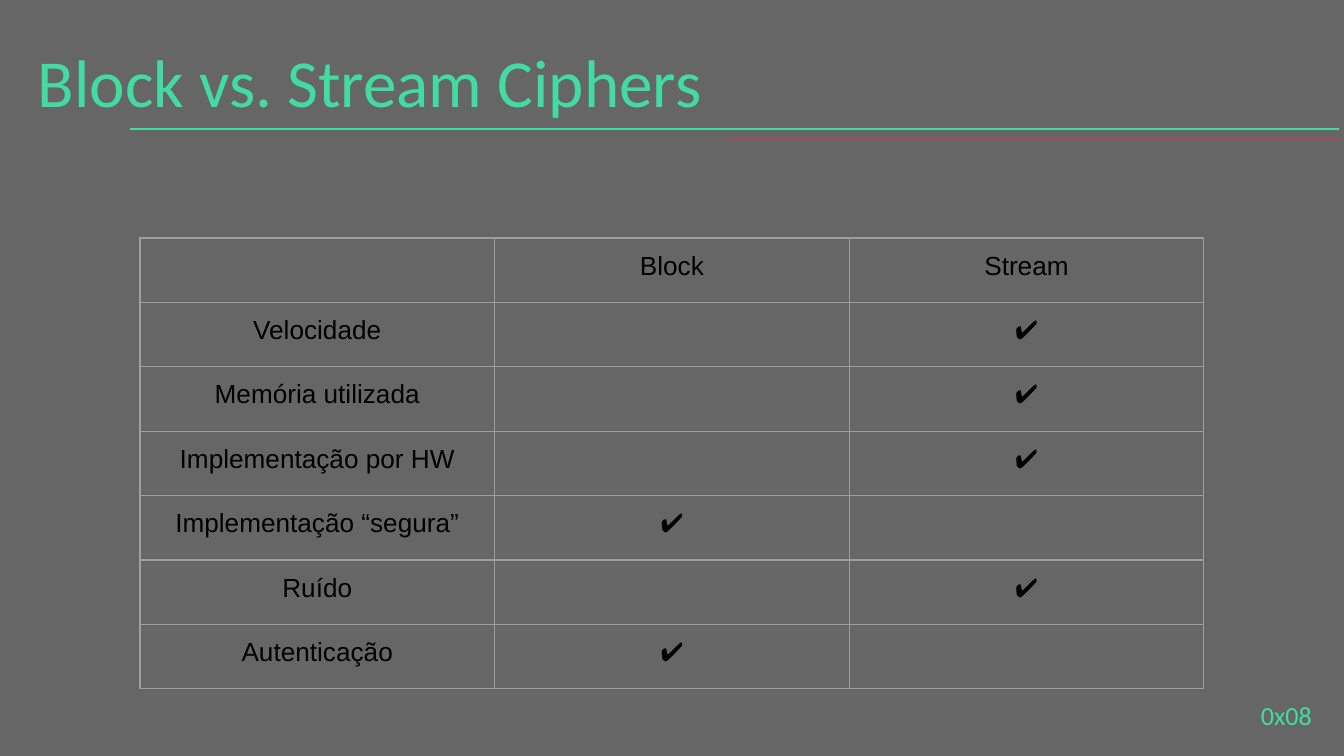
from dataclasses import dataclass

from lxml import etree
from pptx import Presentation
from pptx.dml.color import RGBColor
from pptx.enum.shapes import MSO_CONNECTOR
from pptx.enum.text import MSO_ANCHOR, MSO_AUTO_SIZE, PP_ALIGN
from pptx.oxml.ns import qn
from pptx.slide import Slide
from pptx.table import _Cell
from pptx.text.text import TextFrame
from pptx.util import Pt

LEFT, CENTER, RIGHT = PP_ALIGN.LEFT, PP_ALIGN.CENTER, PP_ALIGN.RIGHT
TOP, MIDDLE = MSO_ANCHOR.TOP, MSO_ANCHOR.MIDDLE
STRAIGHT = MSO_CONNECTOR.STRAIGHT
NO_FIT = MSO_AUTO_SIZE.NONE


@dataclass(frozen=True)
class Theme:
    back: str = "666666"
    green: str = "42DCA3"
    pink: str = "DF2C62"
    ink: str = "000000"
    grid: str = "9E9E9E"
    head: str = "Calibri"
    body: str = "Arial"
    title: float = 36
    text: float = 14
    line: float = 0.75
    inset: float = 7.2


@dataclass(frozen=True)
class Rule:
    left: float
    top: float
    color: str


@dataclass(frozen=True)
class Trait:
    name: str
    block: bool = False
    stream: bool = False


THEME = Theme()
RULE_END = 717.12
RULES = [Rule(69.84, 69.12, THEME.green), Rule(390.96, 74.88, THEME.pink)]
TRAITS = [
    Trait("Velocidade", stream=True),
    Trait("Memória utilizada", stream=True),
    Trait("Implementação por HW", stream=True),
    Trait("Implementação “segura”", block=True),
    Trait("Ruído", stream=True),
    Trait("Autenticação", block=True),
]
CHECK = "✔️"
COL, ROW = 190, 34.5


def write(frame: TextFrame, text: str, size: float, font: str, color: str,
          align: PP_ALIGN) -> None:
    frame.text = text
    para = frame.paragraphs[0]
    para.alignment = align
    for run in para.runs:
        run.font.size = Pt(size)
        run.font.name = font
        run.font.color.rgb = RGBColor.from_string(color)


def pad(item: TextFrame | _Cell) -> None:
    item.margin_left = item.margin_right = Pt(THEME.inset)
    item.margin_top = item.margin_bottom = Pt(THEME.inset)


def label(frame: TextFrame, text: str, size: float, align: PP_ALIGN,
          anchor: MSO_ANCHOR) -> None:
    """Write green heading text in a padded frame of fixed size."""
    write(frame, text, size, THEME.head, THEME.green, align)
    pad(frame)
    frame.word_wrap = True
    frame.auto_size = NO_FIT
    frame.vertical_anchor = anchor


def draw_rule(slide: Slide, rule: Rule) -> None:
    line = slide.shapes.add_connector(
        STRAIGHT, Pt(rule.left), Pt(rule.top), Pt(RULE_END), Pt(rule.top))
    line.line.color.rgb = RGBColor.from_string(rule.color)
    line.line.width = Pt(THEME.line)
    etree.SubElement(line._element.spPr, qn("a:effectLst"))


def frame_cell(cell: _Cell) -> None:
    """Clear the fill and draw a thin border on all four sides."""
    cell.fill.background()
    props = cell._tc.get_or_add_tcPr()
    for spot, side in enumerate(("lnL", "lnR", "lnT", "lnB")):
        edge = etree.Element(qn(f"a:{side}"), w=str(Pt(THEME.line)))
        fill = etree.SubElement(edge, qn("a:solidFill"))
        etree.SubElement(fill, qn("a:srgbClr"), val=THEME.grid)
        props.insert(spot, edge)


def draw_table(slide: Slide, traits: list[Trait]) -> None:
    rows = [("", "Block", "Stream")]
    rows += [(t.name, CHECK if t.block else "", CHECK if t.stream else "")
             for t in traits]
    count, width = len(rows), len(rows[0])
    table = slide.shapes.add_table(
        count, width, Pt(75), Pt(127.5), Pt(COL * width), Pt(ROW * count)).table
    table.first_row = table.horz_banding = False
    for r, row in enumerate(rows):
        for c, text in enumerate(row):
            cell = table.cell(r, c)
            frame_cell(cell)
            if text:
                pad(cell)
                write(cell.text_frame, text, THEME.text, THEME.body,
                      THEME.ink, CENTER)


def main() -> None:
    deck = Presentation()
    deck.slide_width, deck.slide_height = Pt(720), Pt(405)
    slide = deck.slides.add_slide(deck.slide_layouts[5])
    back = slide.background.fill
    back.solid()
    back.fore_color.rgb = RGBColor.from_string(THEME.back)

    for rule in RULES:
        draw_rule(slide, rule)

    title = slide.shapes.title
    title.left, title.top = Pt(13), Pt(14.5)
    title.width, title.height = Pt(646), Pt(48)
    label(title.text_frame, "Block vs. Stream Ciphers", THEME.title, LEFT, TOP)

    draw_table(slide, TRAITS)

    page = slide.shapes.add_textbox(Pt(667), Pt(367.5), Pt(43), Pt(31))
    label(page.text_frame, "0x08", THEME.text, RIGHT, MIDDLE)

    deck.save("out.pptx")


if __name__ == "__main__":
    main()
